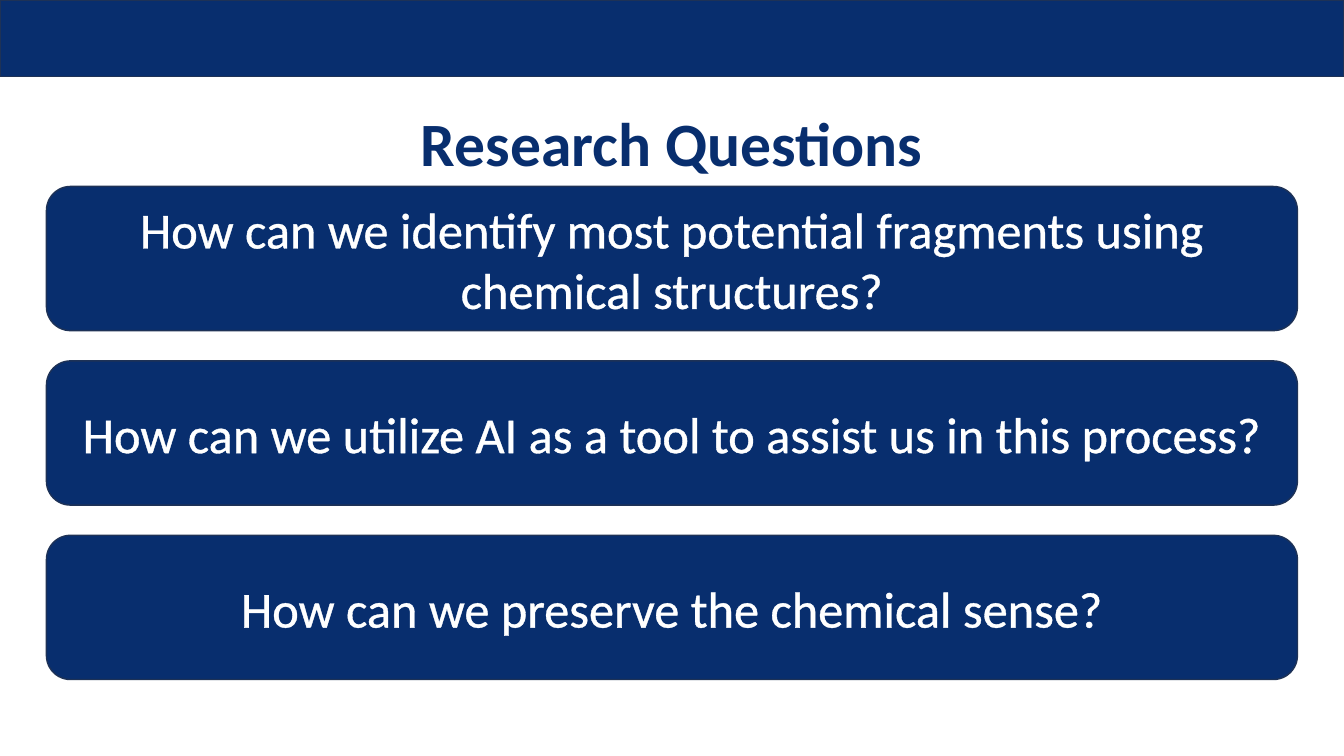
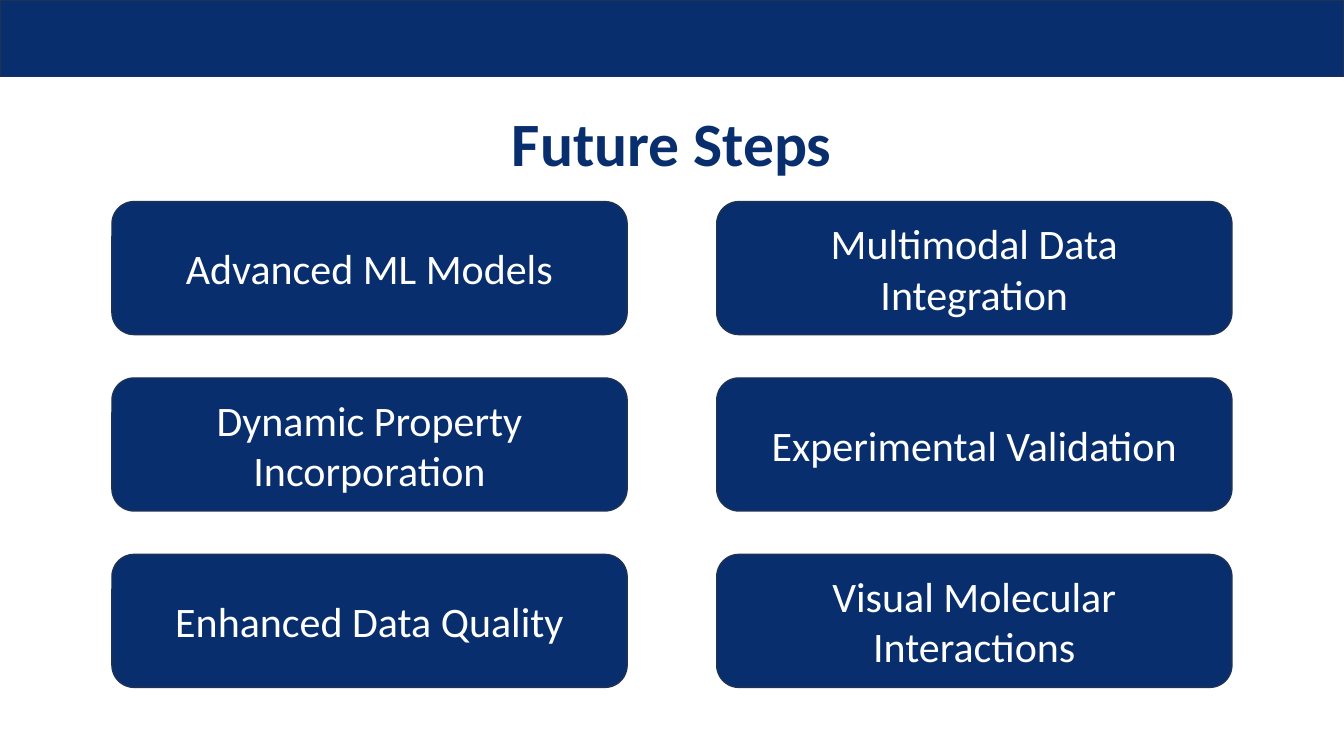
from lxml import etree
from pptx import Presentation
from pptx.dml.color import RGBColor
from pptx.enum.shapes import MSO_SHAPE as SHAPE
from pptx.enum.text import MSO_ANCHOR as ANCHOR, PP_ALIGN as ALIGN
from pptx.oxml import parse_xml
from pptx.oxml.ns import nsdecls
from pptx.util import Pt

COLORS = {"navy": "082E6E", "edge": "1E3256", "white": "FFFFFF"}
FONT = "Calibri"
SLIDE_W, SLIDE_H = 960, 540
BAND_H = 54.7

SLIDES = [
    {
        "title": "Research Questions",
        "cards": [
            "How can we identify most potential fragments using chemical structures?",
            "How can we utilize AI as a tool to assist us in this process?",
            "How can we preserve the chemical sense?",
        ],
        "columns": 1, "margin": 33.2, "top": 133.2, "height": 103,
        "gap_x": 0, "gap_y": 21.6, "size": 36, "outline": 0.75,
    },
    {
        "title": "Future Steps",
        "cards": [
            "Advanced ML Models", "Multimodal Data Integration",
            "Dynamic Property Incorporation", "Experimental Validation",
            "Enhanced Data Quality", "Visual Molecular Interactions",
        ],
        "columns": 2, "margin": 80, "top": 144, "height": 95,
        "gap_x": 64, "gap_y": 31, "size": 30, "outline": 0,
    },
]


def rgb(name):
    return RGBColor.from_string(COLORS[name])


def set_text(shape, text, size, color, bold=False):
    """Write one centred line of text and return its paragraph."""
    frame = shape.text_frame
    frame.word_wrap = True
    frame.vertical_anchor = ANCHOR.MIDDLE
    frame.text = text
    paragraph = frame.paragraphs[0]
    paragraph.alignment = ALIGN.CENTER
    font = paragraph.runs[0].font
    font.name, font.size, font.bold = FONT, Pt(size), bold
    font.color.rgb = rgb(color)
    return paragraph


def outline_text(run, width):
    line = parse_xml(f'<a:ln {nsdecls("a")} w="{Pt(width)}"/>')
    fill = etree.SubElement(line, line.tag.replace("}ln", "}solidFill"))
    etree.SubElement(fill, line.tag.replace("}ln", "}srgbClr"), val=COLORS["white"])
    run.font._element.insert(0, line)


def add_block(slide, kind, left, top, width, height):
    """Add a navy shape with a thin dark edge."""
    block = slide.shapes.add_shape(kind, Pt(left), Pt(top), Pt(width), Pt(height))
    block.shadow.inherit = False
    block.fill.solid()
    block.fill.fore_color.rgb = rgb("navy")
    block.line.color.rgb = rgb("edge")
    block.line.width = Pt(1)
    return block


def add_frame(slide, title):
    """Add what every slide shares: the top band and the title."""
    add_block(slide, SHAPE.RECTANGLE, 0, 0, SLIDE_W, BAND_H)
    heading = slide.shapes.add_textbox(Pt(66), Pt(77), Pt(828), Pt(56))
    set_text(heading, title, 44, "navy", bold=True).line_spacing = 0.9


def add_cards(slide, content):
    columns, gap_x = content["columns"], content["gap_x"]
    height = content["height"]
    width = (SLIDE_W - 2 * content["margin"] - (columns - 1) * gap_x) / columns
    for index, text in enumerate(content["cards"]):
        row, column = divmod(index, columns)
        left = content["margin"] + column * (width + gap_x)
        top = content["top"] + row * (height + content["gap_y"])
        card = add_block(slide, SHAPE.ROUNDED_RECTANGLE, left, top, width, height)
        paragraph = set_text(card, text, content["size"], "white")
        if content["outline"]:
            outline_text(paragraph.runs[0], content["outline"])


def main():
    deck = Presentation()
    deck.slide_width, deck.slide_height = Pt(SLIDE_W), Pt(SLIDE_H)
    for content in SLIDES:
        slide = deck.slides.add_slide(deck.slide_layouts[6])
        add_frame(slide, content["title"])
        add_cards(slide, content)
    deck.save("out.pptx")


if __name__ == "__main__":
    main()
